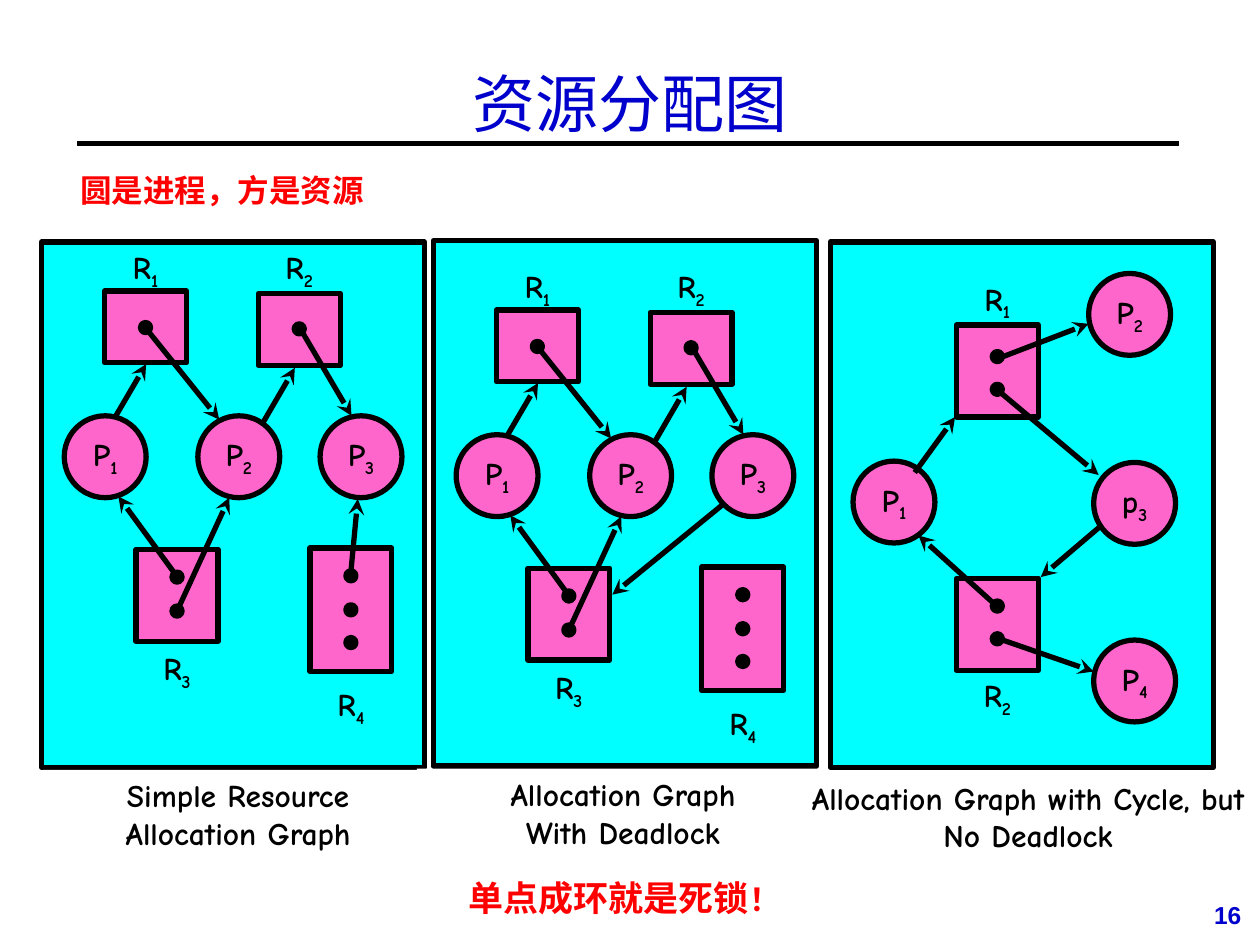
from pptx import Presentation
from pptx.dml.color import RGBColor
from pptx.enum.shapes import MSO_CONNECTOR, MSO_SHAPE
from pptx.enum.text import MSO_ANCHOR, PP_ALIGN
from pptx.oxml.ns import qn
from pptx.util import Inches, Pt
from lxml.etree import SubElement

COLORS = {"black": "000000", "white": "FFFFFF", "cyan": "00FFFF",
          "pink": "FF66CC", "red": "FF0000", "blue": "0000CC"}
LABEL = {"size": Pt(18), "name": "Comic Neue", "bold": True}
NOTE = {"size": Pt(18), "name": "Arial", "bold": True}
TITLE = {"size": Pt(36), "name": "Times New Roman"}
NUMBER = {"size": Pt(14), "name": "Arial", "bold": True}

PANEL_W, PANEL_H = 3.04, 4.17
NODE = 0.65           # process diameter and resource width
DOT = 0.08
LABEL_W, LABEL_H = 0.46, 0.4

# Processes: name, x, y. Resources: name, x, y, height, dot offsets, label y.
# Arrows: x1, y1, x2, y2. All relative to the panel.
PROCESSES = [("P1", 0.18, 1.38), ("P2", 1.24, 1.38), ("P3", 2.21, 1.38)]
RESOURCES = [("R1", 0.5, 0.39, 0.57, [0.25], 0),
             ("R2", 1.72, 0.41, 0.57, [0.24], 0),
             ("R3", 0.75, 2.44, 0.73, [0.18, 0.45], 3.18),
             ("R4", 2.13, 2.43, 0.98, [0.18, 0.45, 0.71], 3.47)]
ARROWS = [(0.59, 1.38, 0.83, 0.97), (0.84, 0.7, 1.41, 1.41),
          (1.76, 1.43, 2.01, 1), (2.06, 0.7, 2.46, 1.38),
          (1.07, 2.65, 0.61, 2.02), (1.08, 2.92, 1.49, 2.03)]
R4_TO_P3 = (2.45, 2.67, 2.51, 2.04)
P3_TO_R3 = (2.29, 1.94, 1.42, 2.65)

CYCLE_PROCESSES = [("P1", 0.18, 1.74), ("P2", 2.05, 0.25),
                   ("p3", 2.09, 1.75), ("P4", 2.09, 3.16)]
CYCLE_RESOURCES = [("R2", 1, 2.67, 0.73, [0.18, 0.44], 3.4),
                   ("R1", 1, 0.66, 0.73, [0.21, 0.47], 0.25)]
CYCLE_ARROWS = [(0.67, 1.83, 0.99, 1.39), (1.32, 2.89, 0.7, 2.33),
                (1.31, 3.14, 2.09, 3.41), (2.14, 2.26, 1.67, 2.66),
                (1.32, 1.17, 2.13, 1.85), (1.32, 0.93, 2.05, 0.65)]


def rgb(name):
    return RGBColor.from_string(COLORS[name])


def add_run(p, text, style, color="black"):
    r = p.add_run()
    r.text = text
    for key, value in style.items():
        setattr(r.font, key, value)
    r.font.color.rgb = rgb(color)
    return r


def add_text(s, box, text, style, color="black", align=PP_ALIGN.LEFT,
             anchor=MSO_ANCHOR.TOP, fill=None):
    sp = s.shapes.add_textbox(*map(Inches, box))
    if fill:
        sp.fill.solid()
        sp.fill.fore_color.rgb = rgb(fill)
    tf = sp.text_frame
    tf.word_wrap = True
    tf.vertical_anchor = anchor
    for i, line in enumerate(text.split("\n")):
        p = tf.add_paragraph() if i else tf.paragraphs[0]
        p.alignment = align
        add_run(p, line, style, color)
    return sp


def add_shape(s, kind, box, fill):
    sp = s.shapes.add_shape(kind, *map(Inches, box))
    sp.shadow.inherit = False
    sp.fill.solid()
    sp.fill.fore_color.rgb = rgb(fill)
    sp.line.color.rgb = rgb("black")
    sp.line.width = Pt(3)
    return sp


def add_line(s, x1, y1, x2, y2, arrow=False):
    line = s.shapes.add_connector(MSO_CONNECTOR.STRAIGHT,
                                  *map(Inches, (x1, y1, x2, y2)))
    line.line.color.rgb = rgb("black")
    line.line.width = Pt(3)
    if arrow:
        SubElement(line.line._get_or_add_ln(), qn("a:tailEnd"), type="stealth")
    SubElement(line._element.spPr, qn("a:effectLst"))


def write_name(sp, name):
    """Centre a letter followed by its subscript number."""
    tf = sp.text_frame
    tf.word_wrap = False
    p = tf.paragraphs[0]
    p.alignment = PP_ALIGN.CENTER
    add_run(p, name[0], LABEL)
    sub = add_run(p, name[1:], LABEL)
    sub.font._element.set("baseline", "-25000")


def add_process(s, name, x, y):
    sp = add_shape(s, MSO_SHAPE.OVAL, (x, y, NODE, NODE), "pink")
    sp.text_frame.vertical_anchor = MSO_ANCHOR.MIDDLE
    write_name(sp, name)


def add_resource(s, name, x, y, height, dots, label_y):
    add_shape(s, MSO_SHAPE.RECTANGLE, (x, y, NODE, height), "pink")
    for dy in dots:
        add_shape(s, MSO_SHAPE.OVAL,
                  (x + (NODE - DOT) / 2, y + dy, DOT, DOT), "black")
    label = s.shapes.add_textbox(*map(Inches, (
        x + (NODE - LABEL_W) / 2, label_y, LABEL_W, LABEL_H)))
    write_name(label, name)


def add_graph(s, left, top, processes, resources, arrows, drop=0):
    """Draw a panel with its graph moved down by drop."""
    add_shape(s, MSO_SHAPE.RECTANGLE, (left, top, PANEL_W, PANEL_H), "cyan")
    y0 = top + drop
    for name, x, y in processes:
        add_process(s, name, left + x, y0 + y)
    for name, x, y, height, dots, label_y in resources:
        add_resource(s, name, left + x, y0 + y, height, dots, y0 + label_y)
    for x1, y1, x2, y2 in arrows:
        add_line(s, left + x1, y0 + y1, left + x2, y0 + y2, arrow=True)


def add_caption(s, box, text):
    add_text(s, box, text, LABEL, align=PP_ALIGN.CENTER, fill="white")


def add_header(s):
    add_line(s, 0.61, 1.14, 9.36, 1.14)
    add_text(s, (0.5, 0.19, 9, 1.25), "资源分配图", TITLE, "blue",
             PP_ALIGN.CENTER, MSO_ANCHOR.MIDDLE)


def add_notes(s):
    sp = add_text(s, (3.62, 6.91, 2.69, 0.44), "单点成环就是死锁",
                  {**NOTE, "size": Pt(20)}, "red")
    add_run(sp.text_frame.paragraphs[0], "！", NOTE, "red")
    add_text(s, (0.54, 1.31, 2.47, 0.4), "圆是进程，方是资源", NOTE, "red")
    add_text(s, (8.94, 7.09, 1.01, 0.52), "16", NUMBER, "blue", PP_ALIGN.RIGHT)


def main():
    prs = Presentation()
    prs.slide_width, prs.slide_height = Inches(10), Inches(7.5)
    s = prs.slides.add_slide(prs.slide_layouts[6])
    add_header(s)
    add_graph(s, 0.33, 1.92, PROCESSES, RESOURCES, ARROWS + [R4_TO_P3])
    add_caption(s, (0.34, 6.11, 3.1, 0.7), "Simple Resource\nAllocation Graph")
    add_graph(s, 3.44, 1.91, PROCESSES, RESOURCES, ARROWS + [P3_TO_R3], 0.16)
    add_caption(s, (3.31, 6.1, 3.27, 0.7), "Allocation Graph\nWith Deadlock")
    add_graph(s, 6.59, 1.92, CYCLE_PROCESSES, CYCLE_RESOURCES, CYCLE_ARROWS)
    add_caption(s, (6.32, 6.13, 3.68, 0.71),
                "Allocation Graph with Cycle, but No Deadlock")
    add_notes(s)
    prs.save("out.pptx")


if __name__ == "__main__":
    main()
